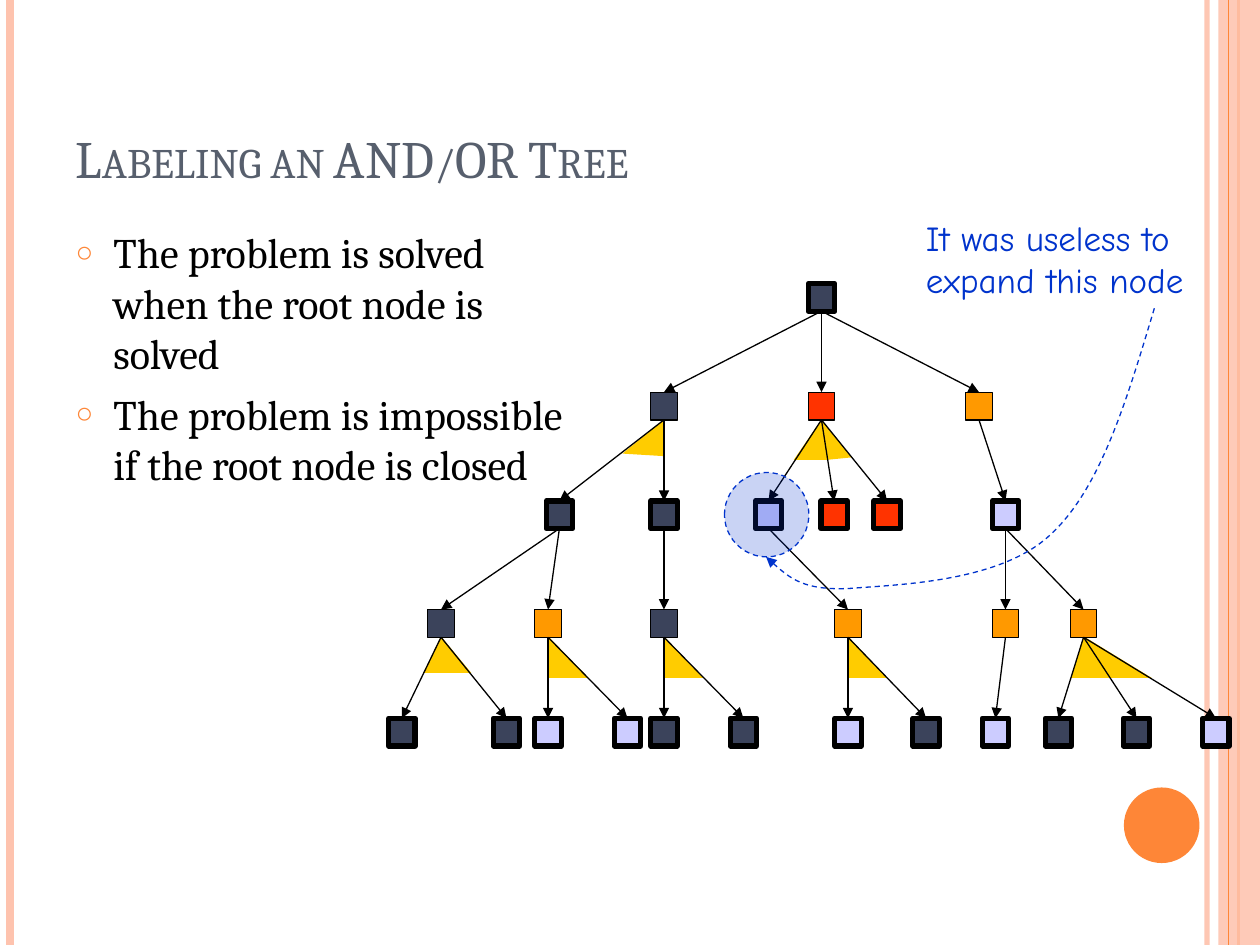
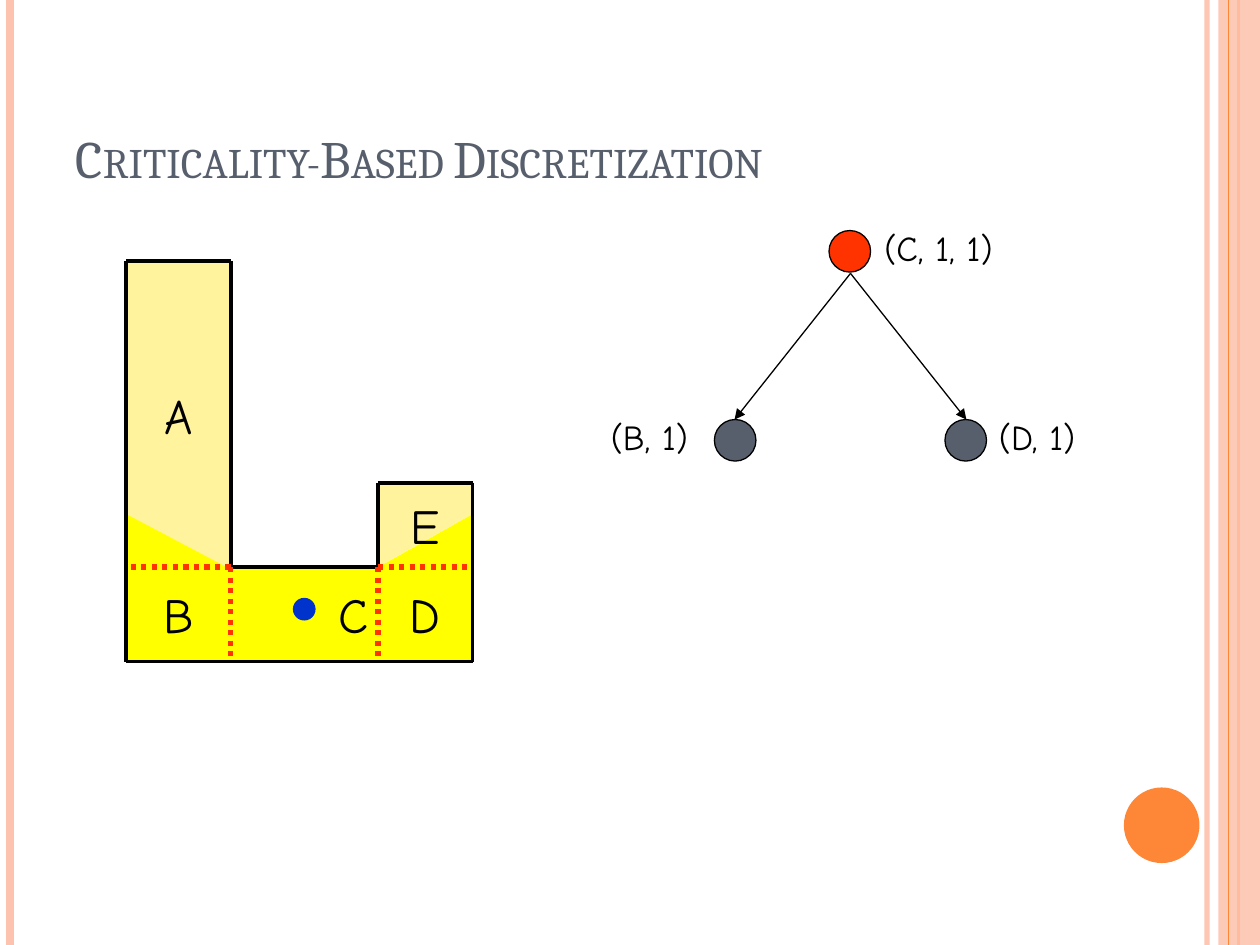
import pptx
import pptx.util
import pptx.dml.color
import pptx.enum.dml
import pptx.enum.shapes
import pptx.enum.text
import pptx.shapes.connector
from lxml import etree
from pptx.oxml.ns import qn

Inches, Pt = pptx.util.Inches, pptx.util.Pt
SHAPE = pptx.enum.shapes.MSO_SHAPE
STRAIGHT = pptx.enum.shapes.MSO_CONNECTOR.STRAIGHT
DASH = pptx.enum.dml.MSO_LINE
ALIGN = pptx.enum.text.PP_ALIGN
ANCHOR = pptx.enum.text.MSO_ANCHOR

SERIF, HAND = "Cambria", "Comic Neue"
BLACK, SLATE, BLUE, RED = "000000", "575F6D", "0033CC", "FF3300"
PEACH, ORANGE = "FEC3AE", "FE8637"
NAVY, LILAC, AMBER, GOLD = "3B435B", "CCCCFF", "FF9900", "FFCC00"
CREAM, YELLOW = "FFF39D", "FFFF00"


def style(shape, fill=None, line=None, width=0.75, dash=None, arrow=None, alpha=None):
    """Set fill, line, arrowhead (headEnd or tailEnd) and opacity; drop the shadow."""
    rgb = pptx.dml.color.RGBColor.from_string
    is_connector = isinstance(shape, pptx.shapes.connector.Connector)
    if fill:
        shape.fill.solid()
        shape.fill.fore_color.rgb = rgb(fill)
    elif not is_connector:
        shape.fill.background()
    if line:
        shape.line.color.rgb = rgb(line)
        shape.line.width = Pt(width)
        if dash:
            shape.line.dash_style = dash
    else:
        shape.line.fill.background()
    spPr = shape.element.spPr
    if arrow:
        etree.SubElement(spPr.find(qn("a:ln")), qn("a:" + arrow), type="triangle")
    if alpha:
        colour = next(spPr.iter(qn("a:srgbClr")))
        etree.SubElement(colour, qn("a:alpha"), val=str(alpha * 1000))
    if is_connector:
        etree.SubElement(spPr, qn("a:effectLst"))
    else:
        shape.shadow.inherit = False


def add_run(p, text, size, font, colour):
    r = p.add_run()
    r.text = text
    r.font.size = Pt(size)
    r.font.name = font
    r.font.color.rgb = pptx.dml.color.RGBColor.from_string(colour)
    return r


prs = pptx.Presentation()
prs.slide_width, prs.slide_height = Inches(10), Inches(7.5)

# Shared frame: side bands, corner disc and small-caps title
slides = []
for layout, title in ((1, "Labeling an AND/OR Tree"),
                      (5, "Criticality-Based Discretization")):
    s = prs.slides.add_slide(prs.slide_layouts[layout])
    slides.append(s)
    for x, colour, width, alpha in ((9.58, PEACH, 3, 93), (0.08, PEACH, 4.5, None),
                                    (9.83, ORANGE, 1.5, None)):
        cn = s.shapes.add_connector(STRAIGHT, Inches(x), 0, Inches(x), Inches(7.5))
        style(cn, line=colour, width=width, alpha=alpha)
    band = s.shapes.add_shape(SHAPE.RECTANGLE, Inches(9.67), 0, Inches(0.33), Inches(7.5))
    style(band, PEACH, alpha=87)
    cn = s.shapes.add_connector(STRAIGHT, Inches(9.75), 0, Inches(9.75), Inches(7.5))
    style(cn, line=ORANGE)
    disc = s.shapes.add_shape(SHAPE.OVAL, *map(Inches, (8.92, 6.25, 0.6, 0.6)))
    style(disc, ORANGE)

    sp = s.shapes.title
    sp.left, sp.top, sp.width, sp.height = map(Inches, (0.5, 0.3, 8.17, 1.25))
    tf = sp.text_frame
    tf.auto_size = pptx.enum.text.MSO_AUTO_SIZE.NONE
    tf.vertical_anchor = ANCHOR.BOTTOM
    p = tf.paragraphs[0]
    p.alignment = ALIGN.LEFT
    r = add_run(p, title, 30, SERIF, SLATE)
    r.font.bold = False
    r.font.element.set("cap", "small") if hasattr(r.font, "element") else \
        r._r.get_or_add_rPr().set("cap", "small")

# Slide 1: bullets
s = slides[0]
sp = s.placeholders[1]
sp.left, sp.top, sp.width, sp.height = map(Inches, (0.5, 1.75, 4.17, 5.33))
tf = sp.text_frame
tf.auto_size = pptx.enum.text.MSO_AUTO_SIZE.NONE
for i, text in enumerate(("The problem is solved when the root node is solved",
                          "The problem is impossible if the root node is closed")):
    p = tf.add_paragraph() if i else tf.paragraphs[0]
    pPr = p._p.get_or_add_pPr()
    pPr.set("marL", str(Inches(0.3)))
    pPr.set("indent", str(Inches(-0.3)))
    etree.SubElement(etree.SubElement(pPr, qn("a:buClr")), qn("a:srgbClr"), val=ORANGE)
    etree.SubElement(pPr, qn("a:buSzPct"), val="70000")
    etree.SubElement(pPr, qn("a:buChar"), char="○")
    p.space_before = Pt(6 if i else 0)
    add_run(p, text, 24, SERIF, BLACK)

# Gold wedges joining the branches of AND nodes
for wedge in (((8.6, 5.05), (8.5, 5.38), (9.14, 5.38)),
              ((6.73, 5.05), (6.73, 5.38), (7.04, 5.38)),
              ((5.27, 5.05), (5.27, 5.38), (5.58, 5.38)),
              ((4.35, 5.05), (4.35, 5.38), (4.67, 5.38)),
              ((3.5, 5.05), (3.36, 5.34), (3.74, 5.34)),
              ((6.52, 3.33), (6.3, 3.65), (6.56, 3.65), (6.76, 3.63)),
              ((5.27, 3.33), (4.94, 3.6), (5.27, 3.62))):
    pts = [(Inches(x), Inches(y)) for x, y in wedge]
    fb = s.shapes.build_freeform(*pts[0], scale=1.0)
    fb.add_line_segments(pts[1:], close=True)
    style(fb.convert_to_shape(), GOLD)

# Tree levels: (centre x, colour, index of the parent in the level above)
levels = (
    ((6.52, NAVY, None),),
    ((5.27, NAVY, 0), (6.52, RED, 0), (7.77, AMBER, 0)),
    ((4.44, NAVY, 0), (5.27, NAVY, 0), (6.1, LILAC, 1), (6.62, RED, 1),
     (7.04, RED, 1), (7.98, LILAC, 2)),
    ((3.5, NAVY, 0), (4.35, AMBER, 0), (5.27, NAVY, 1), (6.73, AMBER, 2),
     (7.98, AMBER, 5), (8.6, AMBER, 5)),
    ((3.19, NAVY, 0), (4.02, NAVY, 0), (4.35, LILAC, 1), (4.98, LILAC, 1),
     (5.27, NAVY, 2), (5.9, NAVY, 2), (6.73, LILAC, 3), (7.35, NAVY, 3),
     (7.9, LILAC, 4), (8.4, NAVY, 5), (9.02, NAVY, 5), (9.65, LILAC, 5)),
)
NODE_W, NODE_H = 0.21, 0.22
parents = []
for depth, level in enumerate(levels):
    nodes = []
    for x, colour, parent in level:
        node = s.shapes.add_shape(SHAPE.RECTANGLE, Inches(x - NODE_W / 2),
                                  Inches(2.25 + 0.8625 * depth),
                                  Inches(NODE_W), Inches(NODE_H))
        style(node, colour, BLACK, 0.75 if depth % 2 else 3)
        nodes.append(node)
        if parent is not None:
            cn = s.shapes.add_connector(STRAIGHT, 0, 0, 0, 0)
            cn.begin_connect(parents[parent], 2)
            cn.end_connect(node, 0)
            style(cn, line=BLACK, arrow="tailEnd")
    parents = nodes

# Remark on the useless node
tb = s.shapes.add_textbox(*map(Inches, (7.25, 1.67, 2.41, 0.77)))
tf = tb.text_frame
tf.word_wrap = False
add_run(tf.paragraphs[0], "It was useless to", 20, HAND, BLUE)
add_run(tf.add_paragraph(), "expand this node", 20, HAND, BLUE)
halo = s.shapes.add_shape(SHAPE.OVAL, *map(Inches, (5.75, 3.75, 0.67, 0.67)))
style(halo, BLUE, BLUE, dash=DASH.DASH, alpha=21)

# Curved pointer: each three segments become one Bézier curve
pts = [(Inches(x), Inches(y)) for x, y in (
    (6.08, 4.42), (6.23, 4.56), (6.38, 4.69), (6.75, 4.67), (7.13, 4.64),
    (7.93, 4.62), (8.33, 4.25), (8.74, 3.88), (8.95, 3.15), (9.17, 2.42))]
fb = s.shapes.build_freeform(*pts[0], scale=1.0)
fb.add_line_segments(pts[1:], close=False)
pointer = fb.convert_to_shape()
segments = list(pointer.element.iter(qn("a:lnTo")))
outline = segments[0].getparent()
for i in range(0, len(segments), 3):
    curve = etree.SubElement(outline, qn("a:cubicBezTo"))
    for segment in segments[i:i + 3]:
        curve.append(segment[0])
        outline.remove(segment)
style(pointer, line=BLUE, dash=DASH.DASH, arrow="headEnd")

# Slide 2: room areas, seen part in yellow
s = slides[1]
for colour, area in (
        (CREAM, ((1, 2.08), (1.83, 2.08), (1.83, 4.5), (1, 4.5))),
        (YELLOW, ((1.83, 4.5), (3, 4.5), (3, 4.83), (1.83, 4.83))),
        (YELLOW, ((1, 4.08), (2.42, 4.83), (3.75, 4.08), (3.75, 5.25), (1, 5.25))),
        (CREAM, ((3, 3.83), (3.75, 3.83), (3.75, 4.08), (3, 4.5)))):
    pts = [(Inches(x), Inches(y)) for x, y in area]
    fb = s.shapes.build_freeform(*pts[0], scale=1.0)
    fb.add_line_segments(pts[1:], close=True)
    style(fb.convert_to_shape(), colour)

# Walls and dotted region borders
corners = ((1, 2.07), (1.83, 2.07), (1.83, 4.5), (3, 4.5),
           (3, 3.83), (3.75, 3.83), (3.75, 5.25), (1, 5.25))
for start, end in zip(corners, corners[1:] + corners[:1]):
    cn = s.shapes.add_connector(STRAIGHT, *map(Inches, start + end))
    style(cn, line=BLACK, width=2.25)
for border in ((1.83, 4.5, 1, 4.5), (3, 4.5, 3.75, 4.5),
               (1.83, 4.5, 1.83, 5.25), (3, 4.5, 3, 5.25)):
    cn = s.shapes.add_connector(STRAIGHT, *map(Inches, border))
    style(cn, line=RED, width=3, dash=DASH.ROUND_DOT)

# Region letters
for letter, box in (("A", (1, 2.08, 0.83, 2.42)), ("B", (1, 4.5, 0.83, 0.75)),
                    ("C", (2.22, 4.5, 1.17, 0.75)), ("D", (3, 4.5, 0.75, 0.75)),
                    ("E", (3, 3.83, 0.75, 0.67))):
    tf = s.shapes.add_textbox(*map(Inches, box)).text_frame
    tf.word_wrap = False
    tf.vertical_anchor = ANCHOR.MIDDLE
    p = tf.paragraphs[0]
    p.alignment = ALIGN.CENTER
    add_run(p, letter, 28, HAND, BLACK)

# Robot position
robot = s.shapes.add_shape(SHAPE.OVAL, *map(Inches, (2.33, 4.75, 0.17, 0.17)))
style(robot, BLUE, BLUE)

# State tree
for x in (5.83, 7.67):
    cn = s.shapes.add_connector(STRAIGHT, *map(Inches, (6.75, 2.17, x, 3.33)))
    style(cn, line=BLACK, arrow="tailEnd")
for label, colour, x, y, label_x, label_w in (
        ("(C, 1, 1)", RED, 6.58, 1.83, 6.92, 1.14),
        ("(D, 1)", SLATE, 7.5, 3.33, 7.83, 0.89),
        ("(B, 1)", SLATE, 5.67, 3.33, 4.75, 0.87)):
    state = s.shapes.add_shape(SHAPE.OVAL, *map(Inches, (x, y, 0.33, 0.33)))
    style(state, colour, BLACK)
    tf = s.shapes.add_textbox(*map(Inches, (label_x, y - 0.08, label_w, 0.43))).text_frame
    tf.word_wrap = False
    add_run(tf.paragraphs[0], label, 20, HAND, BLACK)

prs.save("out.pptx")
